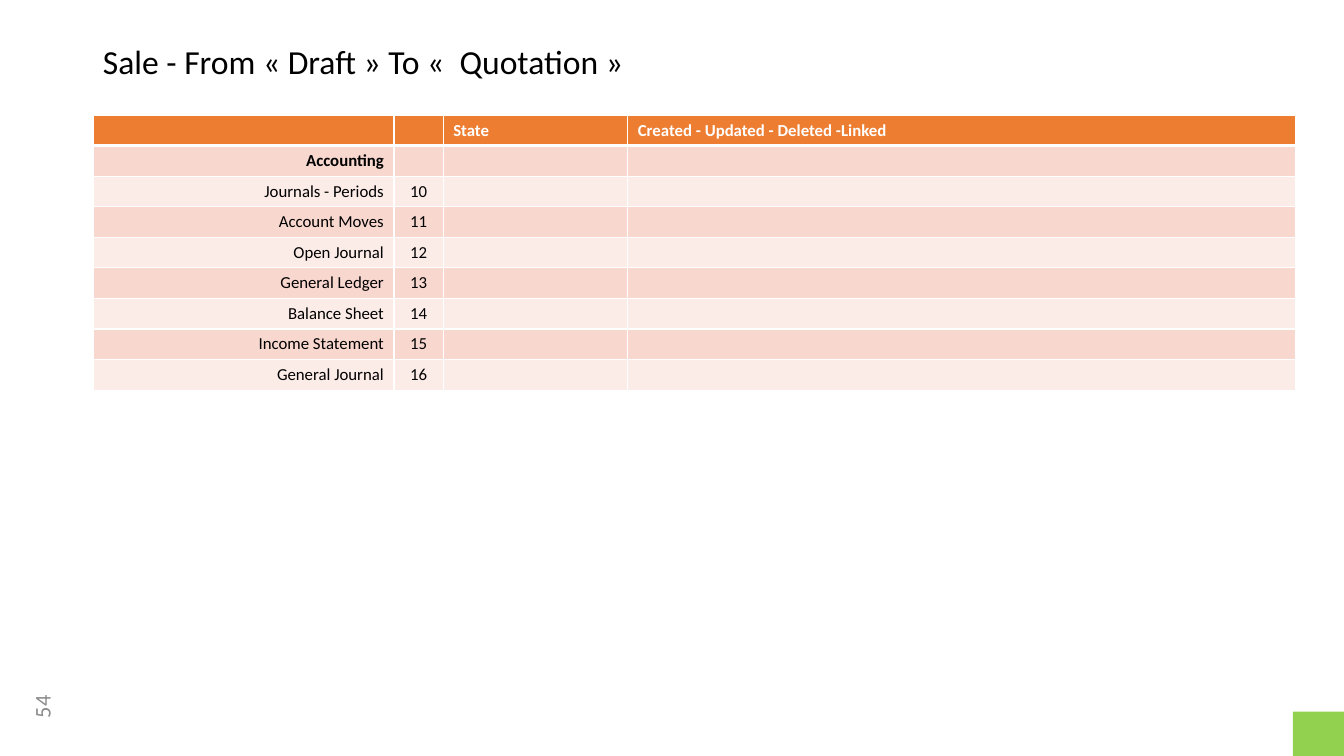
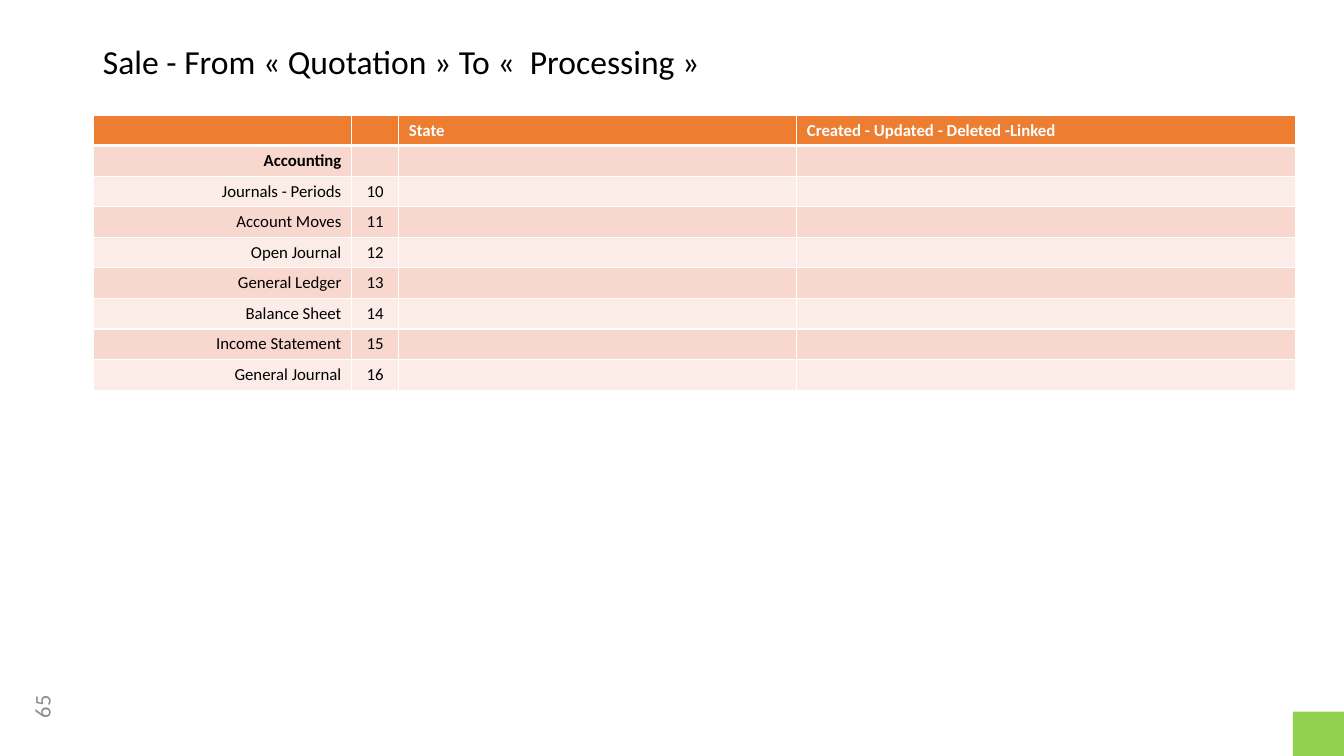
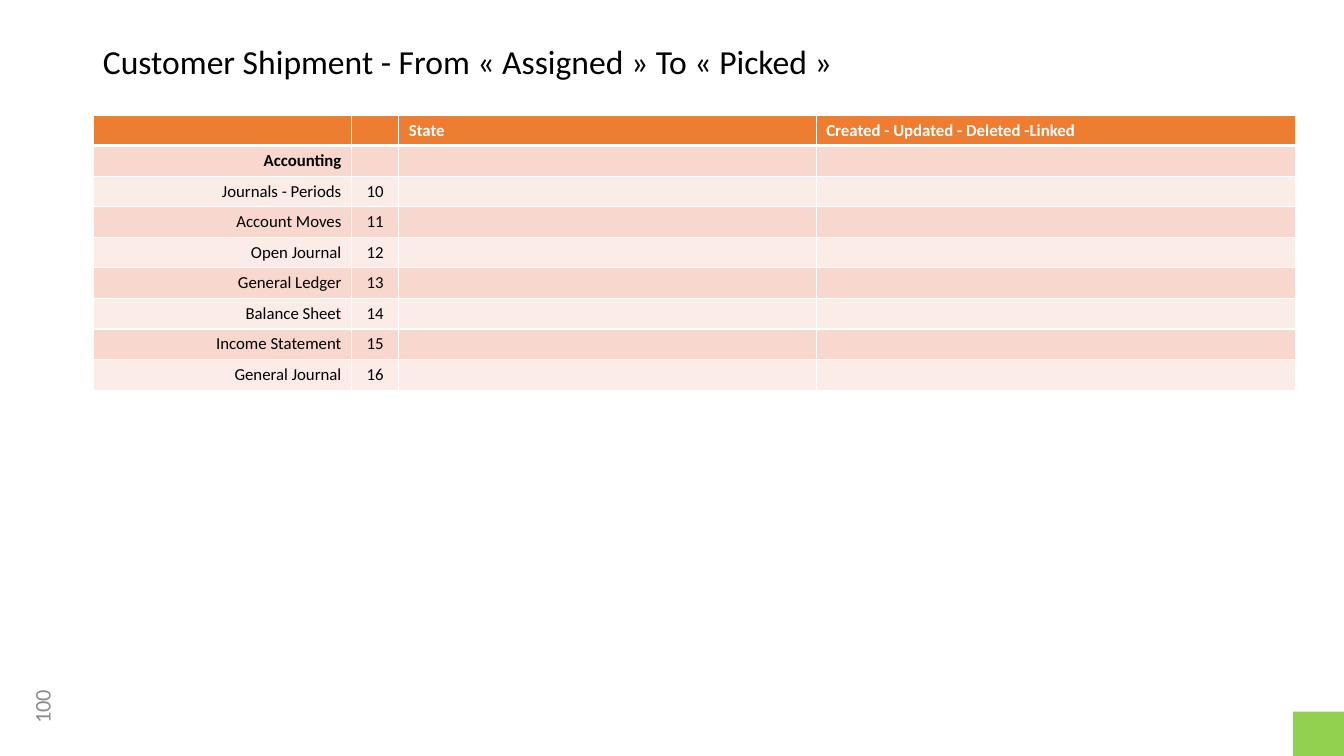
import pptx
import pptx.util
import pptx.dml.color
import pptx.enum.shapes
import pptx.enum.text
import pptx.oxml.ns
import lxml.etree

Cm = pptx.util.Cm
Pt = pptx.util.Pt
RGB = pptx.dml.color.RGBColor
ALIGN = pptx.enum.text.PP_ALIGN
ANCHOR = pptx.enum.text.MSO_ANCHOR

# Style
FONT = "Calibri"
BLACK = RGB(0x00, 0x00, 0x00)
WHITE = RGB(0xFF, 0xFF, 0xFF)
GREY = RGB(0x8C, 0x8C, 0x8C)
GREEN = RGB(0x92, 0xD0, 0x50)
ORANGE = RGB(0xED, 0x7D, 0x31)
BANDS = (RGB(0xF8, 0xD7, 0xCE), RGB(0xFC, 0xEC, 0xE8))

WIDE, HIGH = 33.87, 19.05
GRID = 30.28
ROW = 0.77

# Rows shared by all tables
HEAD = ("", "", "State", "Created - Updated - Deleted -Linked")
GROUP = "Accounting"
ITEMS = ("Journals - Periods", "Account Moves", "Open Journal",
         "General Ledger", "Balance Sheet", "Income Statement",
         "General Journal")
FIRST = 10

# Page number, title, widths of all columns but the last
PAGES = (
    (54, "Sale - From « Draft » To «  Quotation »", (7.57, 1.24, 4.65)),
    (65, "Sale - From « Quotation » To «  Processing »",
     (6.5, 1.19, 10.03)),
    (100, "Customer Shipment - From « Assigned » To « Picked »",
     (6.5, 1.19, 10.52)),
)


class Deck:
    def __init__(self):
        self.prs = pptx.Presentation()
        self.prs.slide_width = Cm(WIDE)
        self.prs.slide_height = Cm(HIGH)
        self.slide = None

    def start(self, num, title):
        """Add a slide with its number, corner block and title."""
        self.slide = self.prs.slides.add_slide(self.prs.slide_layouts[5])
        self.number(num)
        self.corner()
        self.title(title)

    def label(self, frame, text, size, color, align, bold=False):
        frame.text = text
        para = frame.paragraphs[0]
        para.alignment = align
        for run in para.runs:
            font = run.font
            font.name = FONT
            font.size = Pt(size)
            font.bold = bold
            font.color.rgb = color
        if not text:
            # An empty cell needs its size on the paragraph end
            end = lxml.etree.SubElement(
                para._p, pptx.oxml.ns.qn("a:endParaRPr"))
            end.set("sz", str(size * 100))
        return para

    def number(self, num):
        box = self.slide.shapes.add_textbox(
            Cm(0.1), Cm(17.3), Cm(1.9), Cm(1.02))
        box.rotation = 270
        frame = box.text_frame
        frame.word_wrap = True
        frame.vertical_anchor = ANCHOR.MIDDLE
        self.label(frame, str(num), 16, GREY, ALIGN.CENTER)

    def corner(self):
        wide, high = 1.29, 1.12
        block = self.slide.shapes.add_shape(
            pptx.enum.shapes.MSO_SHAPE.RECTANGLE,
            Cm(WIDE - wide), Cm(HIGH - high), Cm(wide), Cm(high))
        block.shadow.inherit = False
        block.fill.solid()
        block.fill.fore_color.rgb = GREEN
        block.line.fill.background()

    def title(self, text):
        box = self.slide.shapes.title
        box.left, box.top = Cm(2.34), Cm(1.02)
        box.width, box.height = Cm(29.21), Cm(1.3)
        frame = box.text_frame
        frame.word_wrap = True
        frame.auto_size = pptx.enum.text.MSO_AUTO_SIZE.NONE
        frame.vertical_anchor = ANCHOR.TOP
        para = self.label(frame, text, 24, BLACK, ALIGN.LEFT)
        para.line_spacing = 0.9

    def border(self, cell, side, width):
        qn = pptx.oxml.ns.qn
        line = lxml.etree.SubElement(
            cell._tc.get_or_add_tcPr(), qn("a:ln" + side), w=str(Pt(width)))
        fill = lxml.etree.SubElement(line, qn("a:solidFill"))
        lxml.etree.SubElement(fill, qn("a:srgbClr"), val=str(WHITE))

    def table(self, rows, cols):
        widths = (*cols, GRID - sum(cols))
        grid = self.slide.shapes.add_table(
            len(rows), len(widths), Cm(2.36), Cm(2.9),
            Cm(GRID), Cm(ROW * len(rows))).table
        for col, wide in zip(grid.columns, widths):
            col.width = Cm(wide)
        aligns = (ALIGN.RIGHT, ALIGN.CENTER, ALIGN.LEFT, ALIGN.LEFT)
        for r, row in enumerate(rows):
            grid.rows[r].height = Cm(ROW)
            head = r == 0
            back = ORANGE if head else BANDS[(r - 1) % 2]
            for c, text in enumerate(row):
                cell = grid.cell(r, c)
                # Borders come before the fill in the cell's XML
                for side in "LRTB":
                    thick = (r, side) in ((0, "B"), (1, "T"))
                    self.border(cell, side, 3 if thick else 1)
                cell.fill.solid()
                cell.fill.fore_color.rgb = back
                self.label(cell.text_frame, text, 12,
                           WHITE if head else BLACK, aligns[c], bold=r < 2)


def main():
    deck = Deck()
    rows = [HEAD, (GROUP, "", "", "")]
    rows += [(name, str(num), "", "")
             for num, name in enumerate(ITEMS, FIRST)]
    for num, title, cols in PAGES:
        deck.start(num, title)
        deck.table(rows, cols)
    deck.prs.save("out.pptx")


if __name__ == "__main__":
    main()
